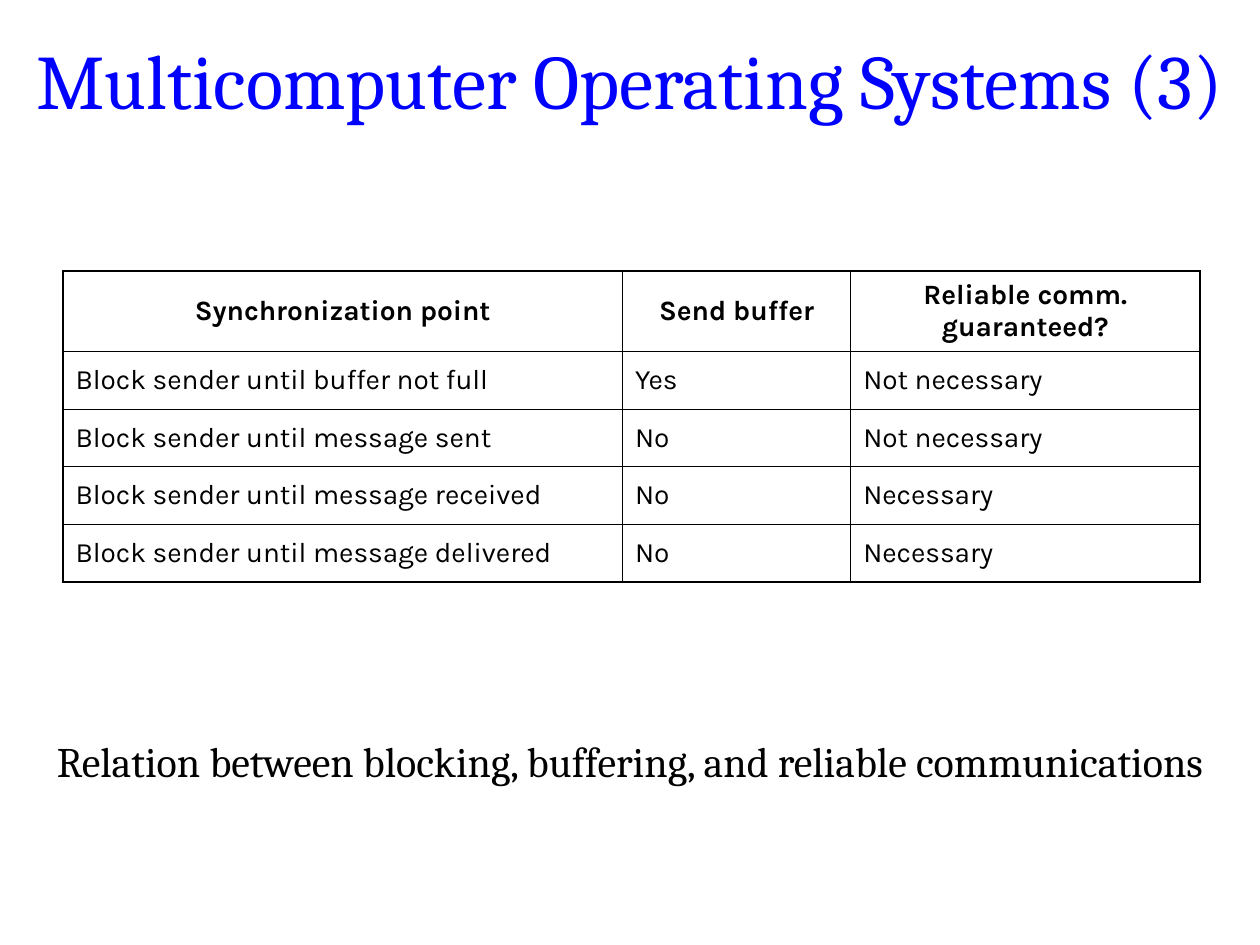
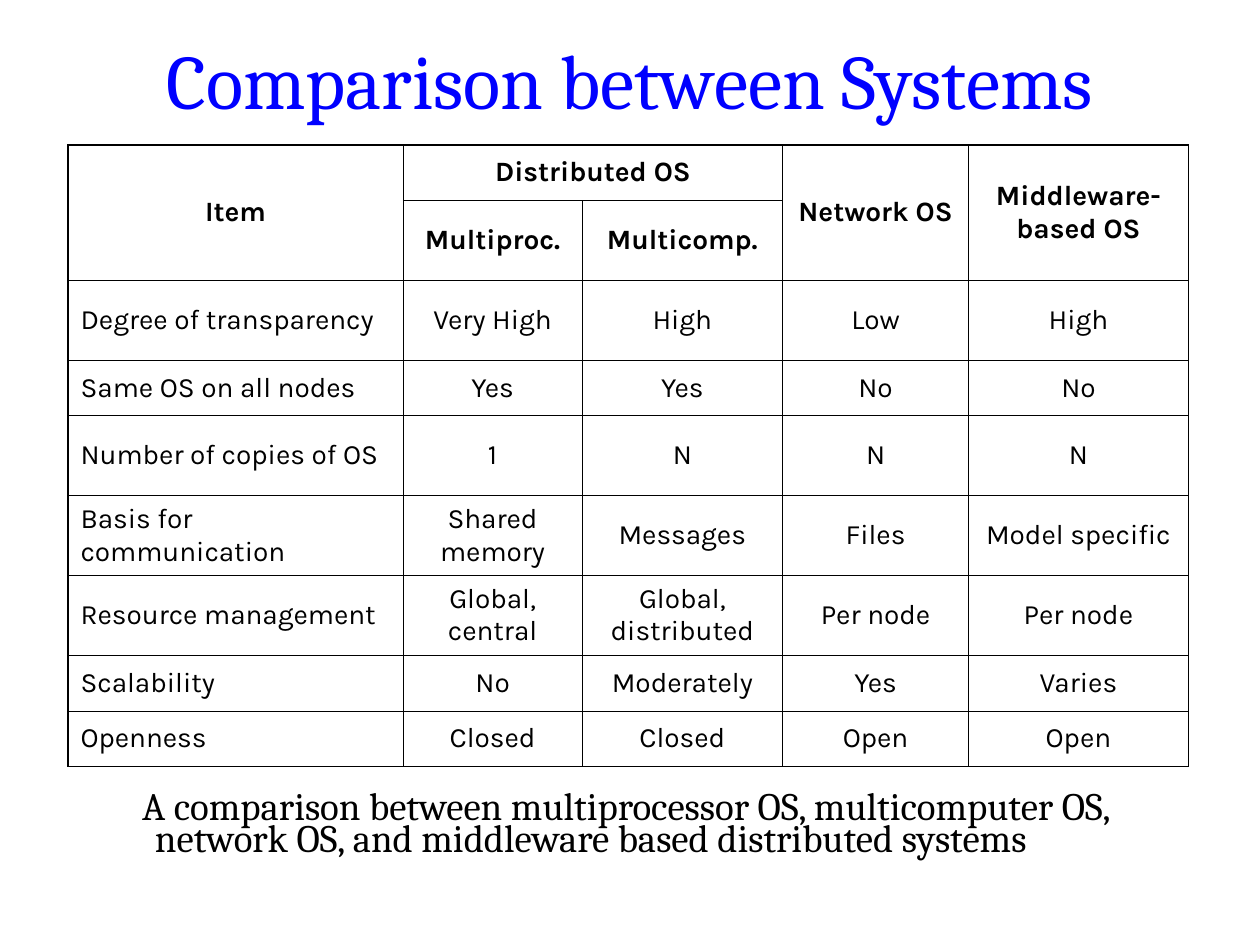
from lxml import etree
from pptx import Presentation
from pptx.dml.color import RGBColor
from pptx.enum import text
from pptx.oxml import ns
from pptx.util import Cm, Pt

COLOURS = {"title": "0000FF", "ink": "000000"}
SERIF, SANS = "Cambria", "Karla"
OUTLINE, GRID = Pt(1.08), Pt(0.45)
LEFT, CENTER = text.PP_ALIGN.LEFT, text.PP_ALIGN.CENTER

BLOCKING_ROWS = [
    ["Synchronization point", "Send buffer", "Reliable comm. guaranteed?"],
    ["Block sender until buffer not full", "Yes", "Not necessary"],
    ["Block sender until message sent", "No", "Not necessary"],
    ["Block sender until message received", "No", "Necessary"],
    ["Block sender until message delivered", "No", "Necessary"],
]
SYSTEM_ROWS = [
    ["Item", "Distributed OS", "", "Network OS", "Middleware-based OS"],
    ["", "Multiproc.", "Multicomp.", "", ""],
    ["Degree of transparency", "Very High", "High", "Low", "High"],
    ["Same OS on all nodes", "Yes", "Yes", "No", "No"],
    ["Number of copies of OS", "1", "N", "N", "N"],
    ["Basis for communication", "Shared memory", "Messages", "Files", "Model specific"],
    ["Resource management", "Global, central", "Global, distributed", "Per node", "Per node"],
    ["Scalability", "No", "Moderately", "Yes", "Varies"],
    ["Openness", "Closed", "Closed", "Open", "Open"],
]


def write(frame, words, font, size, colour, align, bold=False):
    """Fill a text frame with one formatted paragraph and return it."""
    frame.text = words
    frame.word_wrap = True
    para = frame.paragraphs[0]
    para.alignment = align
    for span in para.runs:
        span.font.name = font
        span.font.size = Pt(size)
        span.font.bold = bold
        span.font.color.rgb = RGBColor.from_string(COLOURS[colour])
    return para


def place(box, left, top, width, height):
    box.left, box.top, box.width, box.height = map(Cm, (left, top, width, height))


def add_page(deck, title):
    page = deck.slides.add_slide(deck.slide_layouts[1])
    box = page.shapes.title
    place(box, 0, 0, 25.4, 3.18)
    write(box.text_frame, title, SERIF, 44, "title", CENTER)
    box.text_frame.vertical_anchor = text.MSO_ANCHOR.MIDDLE
    box.text_frame.auto_size = text.MSO_AUTO_SIZE.NONE
    return page


def add_caption(page, words, area, size, align, spacing, margin=0, indent=0):
    box = page.placeholders[1]
    place(box, *area)
    box.text_frame.auto_size = text.MSO_AUTO_SIZE.NONE
    para = write(box.text_frame, words, SERIF, size, "ink", align)
    para.line_spacing = spacing
    para.space_before = Pt(6)
    # No bullet; a hanging first line where one is asked for
    properties = para._p.get_or_add_pPr()
    properties.set("marL", str(Cm(margin)))
    properties.set("indent", str(Cm(indent)))
    etree.SubElement(properties, ns.qn("a:buNone"))


def add_borders(cell, widths):
    """Draw the cell's left, right, top and bottom lines."""
    properties = cell._tc.get_or_add_tcPr()
    for side, width in zip("LRTB", widths):
        line = etree.SubElement(properties, ns.qn(f"a:ln{side}"), w=str(width))
        fill = etree.SubElement(line, ns.qn("a:solidFill"))
        etree.SubElement(fill, ns.qn("a:srgbClr"), val=COLOURS["ink"])


def add_grid(page, rows, left, top, widths, heights, aligns, header_rows=1, merges=()):
    """Add a plain ruled table; merges holds pairs of corner cells."""
    last_row, last_column = len(rows) - 1, len(widths) - 1
    table = page.shapes.add_table(len(rows), len(widths), Cm(left), Cm(top),
                                  Cm(sum(widths)), Cm(sum(heights))).table
    table.first_row = table.horz_banding = False
    for column, width in zip(table.columns, widths):
        column.width = Cm(width)
    for row, height in zip(table.rows, heights):
        row.height = Cm(height)
    for start, end in merges:
        table.cell(*start).merge(table.cell(*end))

    for r, row in enumerate(rows):
        for c, words in enumerate(row):
            cell = table.cell(r, c)
            if cell.is_spanned:
                continue
            header = r < header_rows
            para = write(cell.text_frame, words, SANS, 16, "ink",
                         CENTER if header else aligns[c], header)
            para.space_before = Pt(4)
            cell.vertical_anchor = text.MSO_ANCHOR.MIDDLE
            on_edge = (c == 0, c == last_column, r == 0, r == last_row)
            add_borders(cell, [OUTLINE if edge else GRID for edge in on_edge])
            cell.fill.background()


def main():
    deck = Presentation()
    deck.slide_width, deck.slide_height = Cm(25.4), Cm(19.05)

    # Blocking and buffering
    page = add_page(deck, "Multicomputer Operating Systems (3)")
    add_caption(page, "Relation between blocking, buffering, and reliable communications",
                (0, 14.82, 25.4, 2.33), 24, CENTER, 0.9)
    add_grid(page, BLOCKING_ROWS, 1.27, 5.46, [11.28, 4.6, 7.04],
             [1.63] + [1.16] * 4, [LEFT] * 3)

    # Kinds of operating system
    page = add_page(deck, "Comparison between Systems")
    add_caption(page, "A comparison between multiprocessor OS, multicomputer OS, "
                "network OS, and middleware based distributed systems",
                (1.9, 15.88, 22.23, 2.33), 22.2, LEFT, 0.7, margin=0.97, indent=-0.26)
    low, high = 1.12, 1.61
    add_grid(page, SYSTEM_ROWS, 1.37, 2.92, [6.76, 3.6, 4.05, 3.74, 4.44],
             [low, high, high, low, high, high, high, low, low],
             [LEFT] + [CENTER] * 4, header_rows=2,
             merges=[((0, 0), (1, 0)), ((0, 1), (0, 2)),
                     ((0, 3), (1, 3)), ((0, 4), (1, 4))])

    deck.save("out.pptx")


if __name__ == "__main__":
    main()
